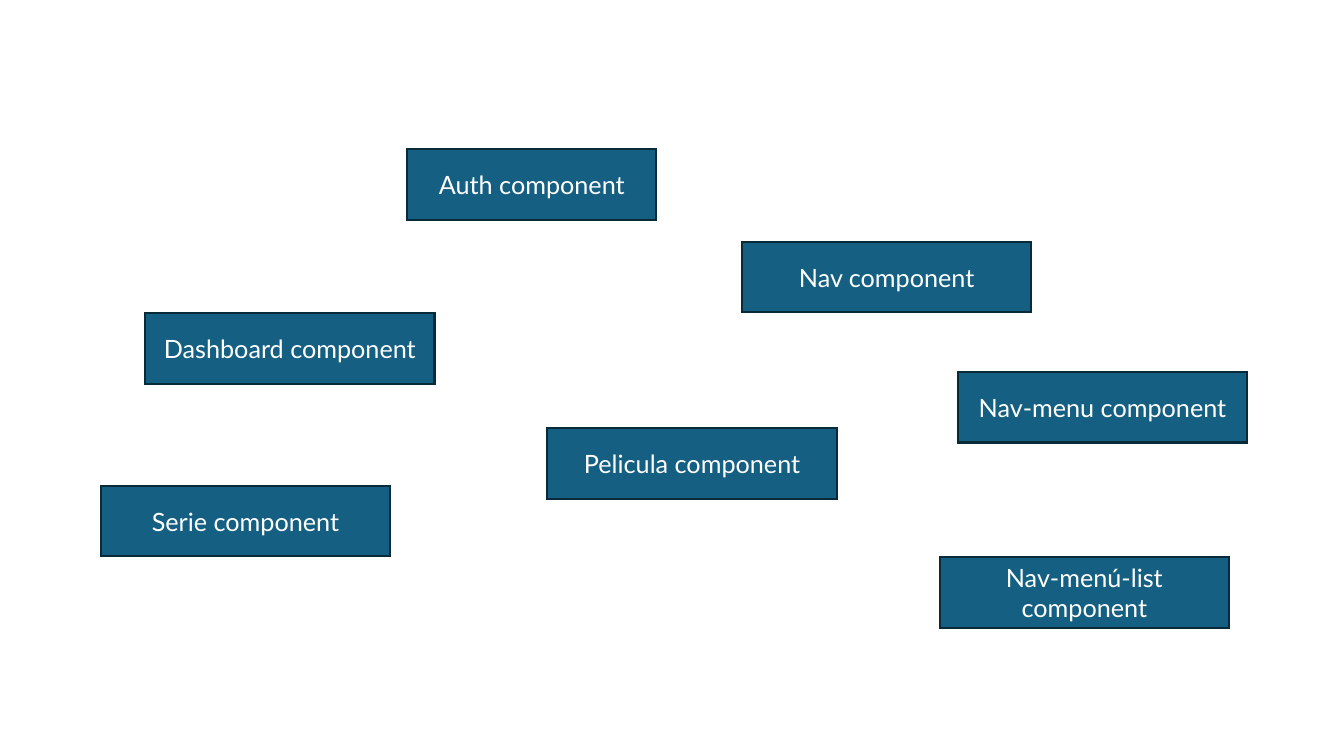
"""Build a slide of application components as labelled boxes."""
from pptx import Presentation
from pptx.dml.color import RGBColor
from pptx.enum.shapes import MSO_SHAPE
from pptx.enum.text import MSO_ANCHOR, PP_ALIGN
from pptx.oxml.ns import qn
from pptx.util import Inches, Pt
from lxml.etree import SubElement

BOX_FILL = RGBColor(0x15, 0x60, 0x82)
BOX_LINE = RGBColor(0x09, 0x2A, 0x39)
WHITE = RGBColor(0xFF, 0xFF, 0xFF)
FONT = "Lato"
BOX_WIDTH = 2.87
AUTH_WIDTH = 2.47
BOX_HEIGHT = 0.7

COMPONENTS = [
    ("Auth", 4.04, 1.48, AUTH_WIDTH),
    ("Dashboard", 1.44, 3.11, BOX_WIDTH),
    ("Pelicula", 5.43, 4.25, BOX_WIDTH),
    ("Serie", 1, 4.82, BOX_WIDTH),
    ("Nav", 7.36, 2.4, BOX_WIDTH),
    ("Nav-menu", 9.5, 3.69, BOX_WIDTH),
    ("Nav-menú-list", 9.32, 5.53, BOX_WIDTH),
]


def outline(box):
    """Give a box a dark outline with sharp corners."""
    box.line.color.rgb = BOX_LINE
    box.line.width = Pt(1.5)
    line = box.element.spPr.find(qn("a:ln"))
    SubElement(line, qn("a:miter"), lim="800000")


def add_component(page, name, left, top, width):
    """Add one component box with its centred label."""
    box = page.shapes.add_shape(
        MSO_SHAPE.RECTANGLE, Inches(left), Inches(top), Inches(width), Inches(BOX_HEIGHT)
    )
    box.shadow.inherit = False
    box.fill.solid()
    box.fill.fore_color.rgb = BOX_FILL
    outline(box)

    frame = box.text_frame
    frame.text = f"{name} component"
    frame.word_wrap = True
    frame.vertical_anchor = MSO_ANCHOR.MIDDLE
    para = frame.paragraphs[0]
    para.alignment = PP_ALIGN.CENTER
    span = para.runs[0]
    span.font.name = FONT
    span.font.size = Pt(18)
    span.font.color.rgb = WHITE


def main():
    """Create the deck and save it."""
    deck = Presentation()
    deck.slide_width = Inches(13.33)
    deck.slide_height = Inches(7.5)
    page = deck.slides.add_slide(deck.slide_layouts[6])
    for component in COMPONENTS:
        add_component(page, *component)
    deck.save("out.pptx")


if __name__ == "__main__":
    main()
